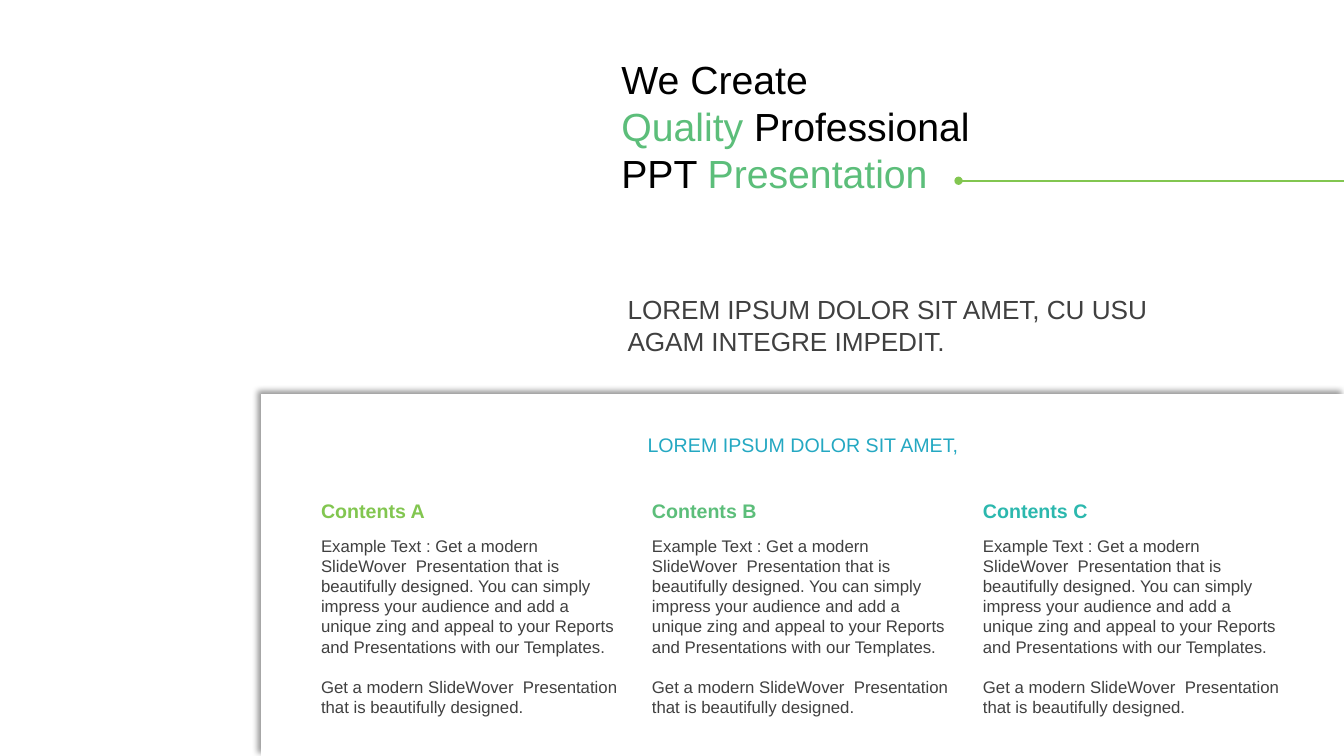
from lxml import etree
from pptx import Presentation
from pptx.dml.color import RGBColor
from pptx.enum.shapes import MSO_CONNECTOR, MSO_SHAPE
from pptx.enum.text import MSO_ANCHOR, PP_ALIGN
from pptx.oxml import parse_xml
from pptx.oxml.ns import nsdecls, qn
from pptx.util import Pt

LINE = MSO_CONNECTOR.STRAIGHT
RECT = MSO_SHAPE.RECTANGLE
TOP, MID = MSO_ANCHOR.TOP, MSO_ANCHOR.MIDDLE
LEFT, RIGHT = PP_ALIGN.LEFT, PP_ALIGN.RIGHT

BLACK = RGBColor(0x00, 0x00, 0x00)
WHITE = RGBColor(0xFF, 0xFF, 0xFF)
GREY = RGBColor(0x40, 0x40, 0x40)
LIME = RGBColor(0x82, 0xC6, 0x50)
GREEN = RGBColor(0x5C, 0xBE, 0x7A)
TEAL = RGBColor(0x2C, 0xB8, 0xAE)
BLUE = RGBColor(0x24, 0xA8, 0xC2)
FONT = "Arial"

WIDE, HIGH = 960, 540
TITLE = [
    [("We Create", BLACK)],
    [("Quality ", GREEN), ("Professional", BLACK)],
    [("PPT ", BLACK), ("Presentation", GREEN)],
]
LEAD = "LOREM IPSUM DOLOR SIT AMET, CU USU AGAM INTEGRE IMPEDIT."
LABEL = "LOREM IPSUM DOLOR SIT AMET, "
HEADS = [("Contents A", LIME), ("Contents B", GREEN), ("Contents C", TEAL)]
BODY = [
    "Example Text : Get a modern SlideWover  Presentation that is "
    "beautifully designed. You can simply impress your audience and add a "
    "unique zing and appeal to your Reports and Presentations with our "
    "Templates.",
    "Get a modern SlideWover  Presentation that is beautifully designed.",
]

PANEL = (186.6, 281.6)
COL_X, COL_W, STEP = 222.2, 229.7, 236.4
HEAD_Y, BODY_Y = 352.8, 379


def add_text(box, lines, size, anchor=TOP, align=LEFT, bold=False, gap=0):
    """Add a text box; each line is a list of (text, colour) runs."""
    shape = slide.shapes.add_textbox(*map(Pt, box))
    frame = shape.text_frame
    frame.word_wrap = True
    frame.vertical_anchor = anchor
    for i, runs in enumerate(lines):
        para = frame.paragraphs[0] if i == 0 else frame.add_paragraph()
        para.alignment = align
        para.font.name, para.font.size = FONT, Pt(size)
        para.font.bold = bold
        if i and gap:
            para.space_before = Pt(gap)
        for text, color in runs:
            run = para.add_run()
            run.text = text
            run.font.color.rgb = color
    return frame


deck = Presentation()
deck.slide_width, deck.slide_height = Pt(WIDE), Pt(HIGH)
slide = deck.slides.add_slide(deck.slide_layouts[6])

x, y = PANEL
panel = slide.shapes.add_shape(RECT, Pt(x), Pt(y), Pt(WIDE - x), Pt(HIGH - y))
panel.fill.solid()
panel.fill.fore_color.rgb = WHITE
panel.line.fill.background()
panel.shadow.inherit = False
panel._element.spPr.find(qn("a:effectLst")).append(parse_xml(
    f'<a:outerShdw {nsdecls("a")} blurRad="{Pt(4)}" dist="{Pt(3)}" '
    f'dir="{225 * 60000}" algn="br" rotWithShape="0"><a:srgbClr val="000000">'
    '<a:alpha val="40000"/></a:srgbClr></a:outerShdw>'))

add_text((454.8, 305.3, 236.9, 24.5), [[(LABEL, BLUE)]], 14, MID, RIGHT)

rule = slide.shapes.add_connector(LINE, Pt(684.7), Pt(129.1), Pt(WIDE),
                                  Pt(129.1))
rule.line.color.rgb = LIME
rule.line.width = Pt(1.5)
etree.SubElement(rule.line._get_or_add_ln(), qn("a:headEnd"), type="oval")
etree.SubElement(rule._element.spPr, qn("a:effectLst"))

title = add_text((441.1, 38.9, 295.2, 101.5), TITLE, 28, MID)
title.margin_left = title.margin_right = Pt(2.8)
title.margin_top = title.margin_bottom = 0

for i, (head, color) in enumerate(HEADS):
    x = COL_X + i * STEP
    add_text((x, HEAD_Y, COL_W, 24.5), [[(head, color)]], 14, bold=True)
    add_text((x, BODY_Y, COL_W, 138.2), [[(text, GREY)] for text in BODY],
             12, gap=14.2)

add_text((441.2, 205.9, 414.7, 52.6), [[(LEAD, GREY)]], 18.67, MID)

deck.save("out.pptx")
